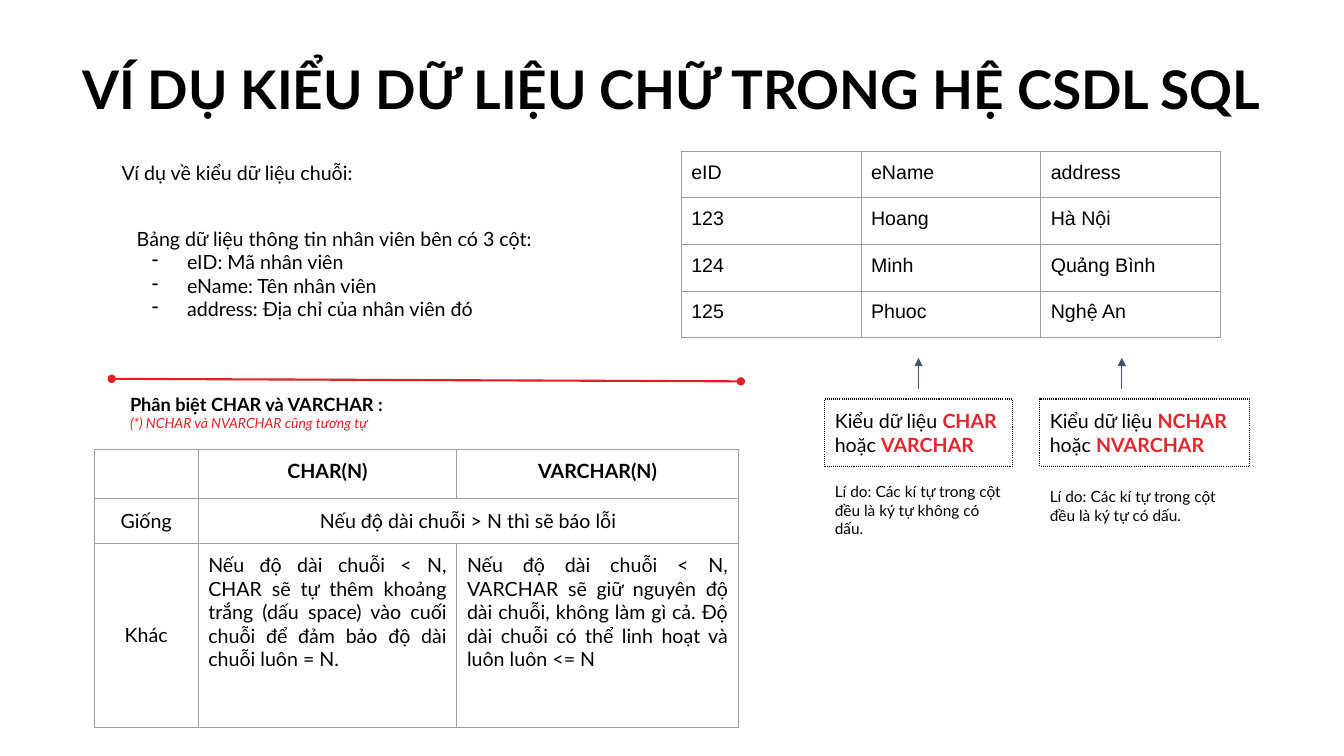
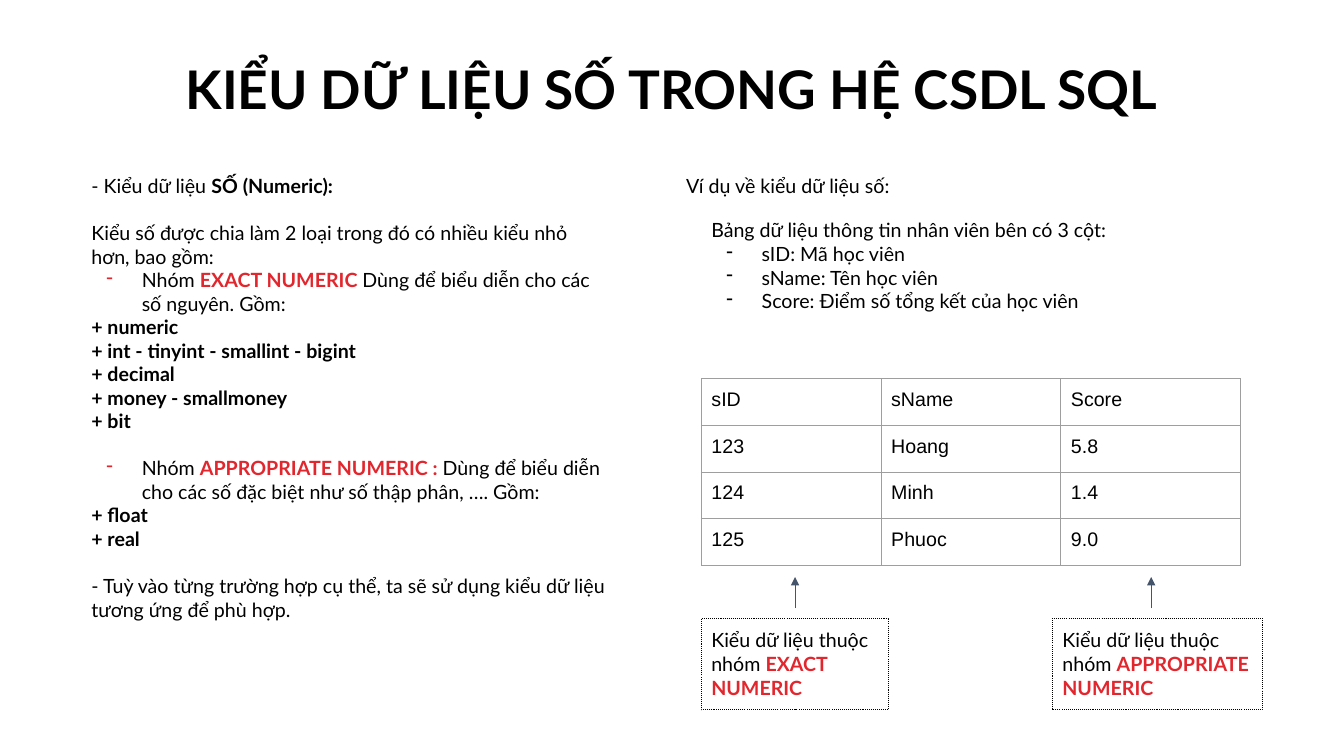
from dataclasses import dataclass

import pptx
import pptx.dml.color
import pptx.enum.dml
import pptx.enum.shapes
import pptx.enum.text
import pptx.oxml
import pptx.oxml.ns
import pptx.util
from lxml import etree

ALIGN = pptx.enum.text.PP_ALIGN
ANCHOR = pptx.enum.text.MSO_ANCHOR
COLUMNS, ROWS = 160, 90
CELL = 76200


@dataclass(frozen=True)
class Theme:
    ink: str = "000000"
    accent: str = "E2262D"
    rule: str = "E31F26"
    arrow: str = "44546A"
    border: str = "9E9E9E"
    text_font: str = "Lato"
    data_font: str = "Arial"
    title: float = 38
    body: float = 14
    heading: float = 13
    reason: float = 11
    remark: float = 10
    hairline: float = 0.75
    rule_width: float = 1.5
    inset: float = 1.2
    title_inset: float = 1.56
    blank_line: float = 16.8


THEME = Theme()


@dataclass(frozen=True)
class Box:
    left: float
    top: float
    width: float
    height: float

    @property
    def bottom(self):
        return self.top + self.height

    def emu(self):
        return [grid(n) for n in (self.left, self.top, self.width, self.height)]


@dataclass(frozen=True)
class Line:
    text: str
    size: float = THEME.body
    color: str = THEME.ink
    emphasis: str = THEME.accent
    font: str = THEME.text_font
    bold: bool = False
    italic: bool = False
    bullet: str = ""
    align: ALIGN = ALIGN.LEFT
    before: float = 0
    spacing: float = 1.0


def grid(units):
    return pptx.util.Emu(round(units * CELL))


def rgb(color):
    return pptx.dml.color.RGBColor.from_string(color)


def sub(parent, tag, **attributes):
    return etree.SubElement(parent, pptx.oxml.ns.qn(tag), **attributes)


def add_bullet(paragraph, color):
    props = paragraph._p.get_or_add_pPr()
    props.set("marL", str(grid(6)))
    props.set("indent", str(grid(-4.2)))
    sub(sub(props, "a:buClr"), "a:srgbClr", val=color)
    sub(props, "a:buChar", char="-")


def write_lines(frame, lines):
    for index, line in enumerate(lines):
        paragraph = frame.add_paragraph() if index else frame.paragraphs[0]
        if line.bullet:
            add_bullet(paragraph, line.bullet)
        paragraph.alignment = line.align
        paragraph.line_spacing = line.spacing
        paragraph.space_before = pptx.util.Pt(line.before)
        font = paragraph.font
        font.name, font.size = line.font, pptx.util.Pt(line.size)
        font.bold, font.italic = line.bold, line.italic
        font.color.rgb = rgb(line.color)
        for part, text in enumerate(line.text.split("*") if line.emphasis else [line.text]):
            if text:
                run = paragraph.add_run()
                run.text = text
                if part % 2:
                    run.font.bold = True
                    run.font.color.rgb = rgb(line.emphasis)


def set_insets(holder, inset):
    holder.margin_left = holder.margin_right = grid(inset)
    holder.margin_top = holder.margin_bottom = grid(inset)


def fill_frame(shape, lines, inset=THEME.inset):
    frame = shape.text_frame
    frame.word_wrap = True
    frame.vertical_anchor = ANCHOR.TOP
    set_insets(frame, inset)
    write_lines(frame, lines)


def text_block(slide, box, lines, inset=THEME.inset):
    fill_frame(slide.shapes.add_textbox(*box.emu()), lines, inset)


def title_band(slide, text):
    line = Line(text, size=THEME.title, bold=True, align=ALIGN.CENTER, spacing=0.9)
    text_block(slide, Box(6.1, 6, 147.8, 10), [line], THEME.title_inset)


def stroke(slide, start, end, color, width, **ends):
    straight = pptx.enum.shapes.MSO_CONNECTOR.STRAIGHT
    points = [grid(n) for n in (*start, *end)]
    connector = slide.shapes.add_connector(straight, *points)
    connector.line.color.rgb = rgb(color)
    connector.line.width = pptx.util.Pt(width)
    outline = connector.line._get_or_add_ln()
    for side in ("headEnd", "tailEnd"):
        if side in ends:
            sub(outline, f"a:{side}", type=ends[side])
    sub(connector._element.spPr, "a:effectLst")


def add_borders(cell):
    props = cell._tc.get_or_add_tcPr()
    for index, side in enumerate(("lnL", "lnR", "lnT", "lnB")):
        border = pptx.oxml.parse_xml(
            f'<a:{side} {pptx.oxml.ns.nsdecls("a")} w="{pptx.util.Pt(THEME.hairline)}">'
            f'<a:solidFill><a:srgbClr val="{THEME.border}"/></a:solidFill></a:{side}>'
        )
        props.insert(index, border)


def bordered_table(slide, box, widths, heights, cells):
    table = slide.shapes.add_table(len(heights), len(widths), *box.emu()).table
    table.first_row = table.horz_banding = False
    for column, width in zip(table.columns, widths):
        column.width = grid(width)
    for row, height, lines in zip(table.rows, heights, cells):
        row.height = grid(height)
        for cell, line in zip(row.cells, lines):
            cell.fill.background()
            set_insets(cell, THEME.inset)
            add_borders(cell)
            write_lines(cell.text_frame, [line])
    return table


def data_table(slide, box, records):
    cells = [[Line(value, font=THEME.data_font) for value in record] for record in records]
    columns, rows = len(records[0]), len(records)
    bordered_table(slide, box, [box.width / columns] * columns, [box.height / rows] * rows, cells)


def column_list(slide, box, entries):
    intro = Line("Bảng dữ liệu thông tin nhân viên bên có 3 cột:")
    text_block(slide, box, [intro, *(Line(entry, bullet=THEME.ink) for entry in entries)])


def type_callout(slide, box, text, arrow_share=0.5):
    note = slide.shapes.add_shape(pptx.enum.shapes.MSO_SHAPE.RECTANGLE, *box.emu())
    note.shadow.inherit = False
    note.fill.background()
    note.line.color.rgb = rgb(THEME.ink)
    note.line.width = pptx.util.Pt(THEME.hairline)
    note.line.dash_style = pptx.enum.dml.MSO_LINE.ROUND_DOT
    fill_frame(note, [Line(text)])
    x = box.left + box.width * arrow_share
    stroke(slide, (x, box.top - 1.2), (x, box.top - 4.9), THEME.arrow, THEME.hairline, tailEnd="triangle")


def reason_note(slide, callout, gap, height, text):
    box = Box(callout.left, callout.bottom + gap, callout.width, height)
    text_block(slide, box, [Line(text, size=THEME.reason)])


def comparison(slide, box):
    stroke(slide, (box.left + 2.1, box.top), (box.left + 77, box.top + 0.3),
           THEME.rule, THEME.rule_width, headEnd="oval", tailEnd="oval")
    text_block(slide, Box(box.left + 3.1, box.top + 0.5, 73.9, 7.1), [
        Line("Phân biệt CHAR và VARCHAR :", size=THEME.heading, bold=True),
        Line("(*) NCHAR và NVARCHAR cũng tương tự", size=THEME.remark,
             color=THEME.rule, emphasis="", italic=True),
    ])
    centered = dict(align=ALIGN.CENTER)
    justified = dict(align=ALIGN.JUSTIFY)
    cells = [
        [Line(""), Line("CHAR(N)", bold=True, **centered), Line("VARCHAR(N)", bold=True, **centered)],
        [Line("Giống", **centered), Line("Nếu độ dài chuỗi > N thì sẽ báo lỗi", **centered), Line("")],
        [Line("Khác", **centered),
         Line("Nếu độ dài chuỗi < N, CHAR sẽ tự thêm khoảng trắng (dấu space) vào cuối chuỗi "
              "để đảm bảo độ dài chuỗi luôn = N.", **justified),
         Line("Nếu độ dài chuỗi < N, VARCHAR sẽ giữ nguyên độ dài chuỗi, không làm gì cả. "
              "Độ dài chuỗi có thể linh hoạt và luôn luôn <= N", **justified)],
    ]
    area = Box(box.left, box.top + 8.4, box.width, box.height - 8.4)
    table = bordered_table(slide, area, [12.4, 30.8, 33.5], [5.9, 5.3, 21.9], cells)
    table.cell(1, 1).merge(table.cell(1, 2))
    table.cell(2, 0).vertical_anchor = ANCHOR.MIDDLE


def numeric_types(slide, box):
    gap = THEME.blank_line

    def members(*names):
        return [Line(f"+ {name}", bold=True) for name in names]

    text_block(slide, box, [
        Line("- Kiểu dữ liệu *SỐ (Numeric):*", emphasis=THEME.ink),
        Line("Kiểu số được chia làm 2 loại trong đó có nhiều kiểu nhỏ hơn, bao gồm:", before=gap),
        Line("Nhóm *EXACT NUMERIC *Dùng để biểu diễn cho các số nguyên. Gồm:", bullet=THEME.accent),
        *members("numeric", "int - tinyint - smallint - bigint", "decimal", "money - smallmoney", "bit"),
        Line("Nhóm *APPROPRIATE NUMERIC : *Dùng để biểu diễn cho các số đặc biệt "
             "như số thập phân, …. Gồm:", bullet=THEME.accent, before=gap),
        *members("float", "real"),
        Line("- Tuỳ vào từng trường hợp cụ thể, ta sẽ sử dụng kiểu dữ liệu tương ứng để phù hợp.",
             before=gap),
    ])


def text_types_slide(slide):
    title_band(slide, "VÍ DỤ KIỂU DỮ LIỆU CHỮ TRONG HỆ CSDL SQL")
    text_block(slide, Box(13.3, 18, 64, 5.3), [Line("Ví dụ về kiểu dữ liệu chuỗi:")])
    column_list(slide, Box(15.1, 25.8, 50.2, 16.6),
                ["eID: Mã nhân viên", "eName: Tên nhân viên", "address: Địa chỉ của nhân viên đó"])
    data_table(slide, Box(81.1, 18, 64.2, 22.2), [
        ("eID", "eName", "address"), ("123", "Hoang", "Hà Nội"),
        ("124", "Minh", "Quảng Bình"), ("125", "Phuoc", "Nghệ An")])
    plain, unicode_text = Box(98.2, 47.5, 22.3, 8), Box(123.8, 47.5, 25, 8)
    type_callout(slide, plain, "Kiểu dữ liệu *CHAR* hoặc *VARCHAR*")
    type_callout(slide, unicode_text, "Kiểu dữ liệu *NCHAR* hoặc *NVARCHAR*", 0.39)
    reason_note(slide, plain, 0.7, 9.1, "Lí do: Các kí tự trong cột đều là ký tự không có dấu.")
    reason_note(slide, unicode_text, 1.3, 6.8, "Lí do: Các kí tự trong cột đều là ký tự có dấu.")
    comparison(slide, Box(11.2, 45.1, 76.7, 41.5))


def numeric_types_slide(slide):
    title_band(slide, "KIỂU DỮ LIỆU SỐ TRONG HỆ CSDL SQL")
    numeric_types(slide, Box(9.7, 19.5, 64.1, 56.2))
    text_block(slide, Box(80.5, 19.5, 63.2, 5.3), [Line("Ví dụ về kiểu dữ liệu số:")])
    column_list(slide, Box(83.5, 24.8, 50.2, 16.6),
                ["sID: Mã học viên", "sName: Tên học viên", "Score: Điểm số tổng kết của học viên"])
    data_table(slide, Box(83.5, 45.1, 64.2, 22.2), [
        ("sID", "sName", "Score"), ("123", "Hoang", "5.8"),
        ("124", "Minh", "1.4"), ("125", "Phuoc", "9.0")])
    type_callout(slide, Box(83.5, 73.6, 22.3, 10.9), "Kiểu dữ liệu thuộc nhóm *EXACT NUMERIC*")
    type_callout(slide, Box(125.3, 73.6, 25, 10.9), "Kiểu dữ liệu thuộc nhóm *APPROPRIATE NUMERIC*", 0.47)


def main():
    deck = pptx.Presentation()
    deck.slide_width, deck.slide_height = grid(COLUMNS), grid(ROWS)
    for build in (text_types_slide, numeric_types_slide):
        build(deck.slides.add_slide(deck.slide_layouts[6]))
    deck.save("out.pptx")


if __name__ == "__main__":
    main()
